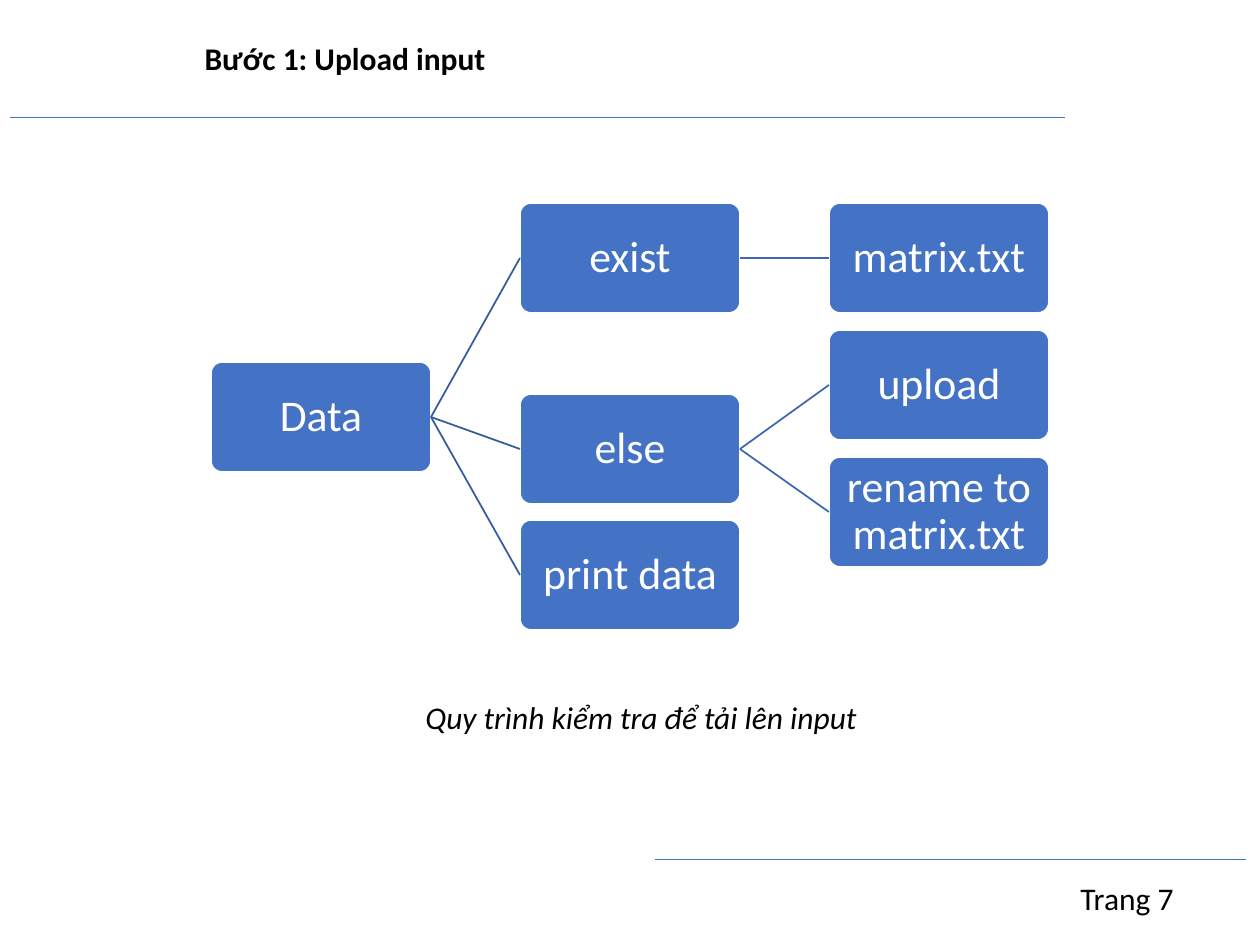
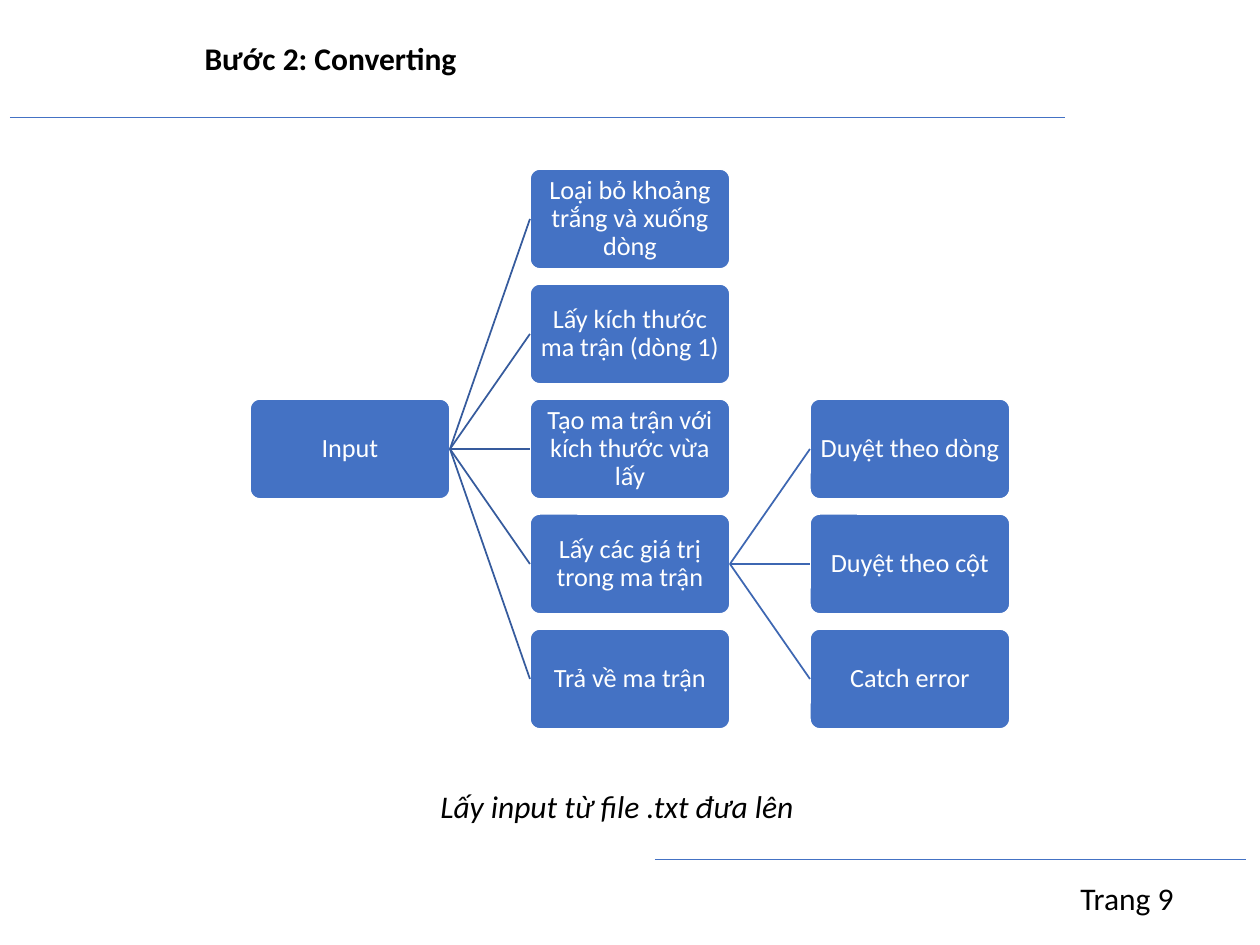
"""Build two process slides, each a horizontal tree with a title, a caption and a page footer."""
from lxml import etree
from pptx import Presentation
from pptx.dml.color import RGBColor
from pptx.enum.shapes import MSO_CONNECTOR, MSO_SHAPE
from pptx.enum.text import MSO_ANCHOR, MSO_AUTO_SIZE, PP_ALIGN
from pptx.oxml.ns import qn
from pptx.util import Pt

PIXEL = 914400 // 126
STRAIGHT = MSO_CONNECTOR.STRAIGHT
ROUNDED = MSO_SHAPE.ROUNDED_RECTANGLE
TOP, MIDDLE = MSO_ANCHOR.TOP, MSO_ANCHOR.MIDDLE
LEFT, CENTER = PP_ALIGN.LEFT, PP_ALIGN.CENTER
NO_FIT = MSO_AUTO_SIZE.NONE
LEFT_SIDE, RIGHT_SIDE = 1, 3

FONT = "Calibri"
BLACK, WHITE, BLUE = "000000", "FFFFFF", "4472C4"
BRANCH_COLORS = {1: "365B9D", 2: "3E67B2"}
RULES = [(10, 117, 1065), (655, 859, 1246)]
TITLE_AREA = (192, 33, 877, 50)
FOOTER_AREA = (1068, 873, 178, 50)

SLIDES = [
    {
        "title": "Bước 1: Upload input",
        "footer": "Trang 7",
        "caption": "Quy trình kiểm tra để tải lên input",
        "caption_area": (413, 692, 485, 50),
        "origin": (211, 203), "pitch": (309, 127), "node": (220, 110),
        "size": 25, "inset": 2,
        "nodes": [
            ("Data", 0, 1.25, None),
            ("exist", 1, 0, "Data"),
            ("matrix.txt", 2, 0, "exist"),
            ("else", 1, 1.5, "Data"),
            ("upload", 2, 1, "else"),
            ("rename to matrix.txt", 2, 2, "else"),
            ("print data", 1, 2.5, "Data"),
        ],
    },
    {
        "title": "Bước 2: Converting",
        "footer": "Trang 9",
        "caption": "Lấy input từ file .txt đưa lên",
        "caption_area": (428, 781, 404, 50),
        "origin": (250, 169), "pitch": (280, 115), "node": (200, 100),
        "size": 15, "inset": 1,
        "nodes": [
            ("Input", 0, 2, None),
            ("Loại bỏ khoảng trắng và xuống dòng", 1, 0, "Input"),
            ("Lấy kích thước ma trận (dòng 1)", 1, 1, "Input"),
            ("Tạo ma trận với kích thước vừa lấy", 1, 2, "Input"),
            ("Lấy các giá trị trong ma trận", 1, 3, "Input"),
            ("Duyệt theo dòng", 2, 2, "Lấy các giá trị trong ma trận"),
            ("Duyệt theo cột", 2, 3, "Lấy các giá trị trong ma trận"),
            ("Catch error", 2, 4, "Lấy các giá trị trong ma trận"),
            ("Trả về ma trận", 1, 4, "Input"),
        ],
    },
]


def write(box, text, size=18, color=BLACK, bold=False, italic=False,
          align=LEFT, anchor=TOP, spacing=1.0, inset=None):
    frame = box.text_frame
    frame.word_wrap = True
    frame.auto_size = NO_FIT
    frame.vertical_anchor = anchor
    if inset is not None:
        frame.margin_left = frame.margin_right = inset * PIXEL
        frame.margin_top = frame.margin_bottom = inset * PIXEL
    para = frame.paragraphs[0]
    para.alignment = align
    para.line_spacing = spacing
    span = para.add_run()
    span.text = text
    span.font.name = FONT
    span.font.size = Pt(size)
    span.font.bold = bold
    span.font.italic = italic
    span.font.color.rgb = RGBColor.from_string(color)


def add_line(page, start, end, color, width):
    line = page.shapes.add_connector(
        STRAIGHT, *[length * PIXEL for length in (*start, *end)])
    line.line.color.rgb = RGBColor.from_string(color)
    line.line.width = Pt(width)
    etree.SubElement(line._element.spPr, qn("a:effectLst"))
    return line


deck = Presentation()
deck.slide_width = 1260 * PIXEL
deck.slide_height = 945 * PIXEL
title_only = deck.slide_layouts[5]

for content in SLIDES:
    page = deck.slides.add_slide(title_only)
    for left, top, right in RULES:
        add_line(page, (left, top), (right, top), BLUE, 0.5)

    title = page.shapes.title
    title.left, title.top, title.width, title.height = [
        length * PIXEL for length in TITLE_AREA]
    write(title, content["title"], bold=True)

    for text, area, italic in [
        (content["footer"], FOOTER_AREA, False),
        (content["caption"], content["caption_area"], True),
    ]:
        box = page.shapes.add_textbox(*[length * PIXEL for length in area])
        write(box, text, italic=italic)

    origin_left, origin_top = content["origin"]
    column_pitch, row_pitch = content["pitch"]
    width, height = content["node"]
    nodes = {}
    for text, column, row, parent in content["nodes"]:
        left = origin_left + column * column_pitch
        top = round(origin_top + row * row_pitch)
        node = page.shapes.add_shape(
            ROUNDED, left * PIXEL, top * PIXEL, width * PIXEL, height * PIXEL)
        node.adjustments[0] = 0.1
        node.shadow.inherit = False
        node.fill.solid()
        node.fill.fore_color.rgb = RGBColor.from_string(BLUE)
        node.line.color.rgb = RGBColor.from_string(WHITE)
        node.line.width = Pt(1)
        write(node, text, size=content["size"], color=WHITE, align=CENTER,
              anchor=MIDDLE, spacing=0.9, inset=content["inset"])
        nodes[text] = node
        if parent:
            branch = add_line(page, (0, 0), (0, 0), BRANCH_COLORS[column], 1)
            branch.begin_connect(nodes[parent], RIGHT_SIDE)
            branch.end_connect(node, LEFT_SIDE)

deck.save("out.pptx")
